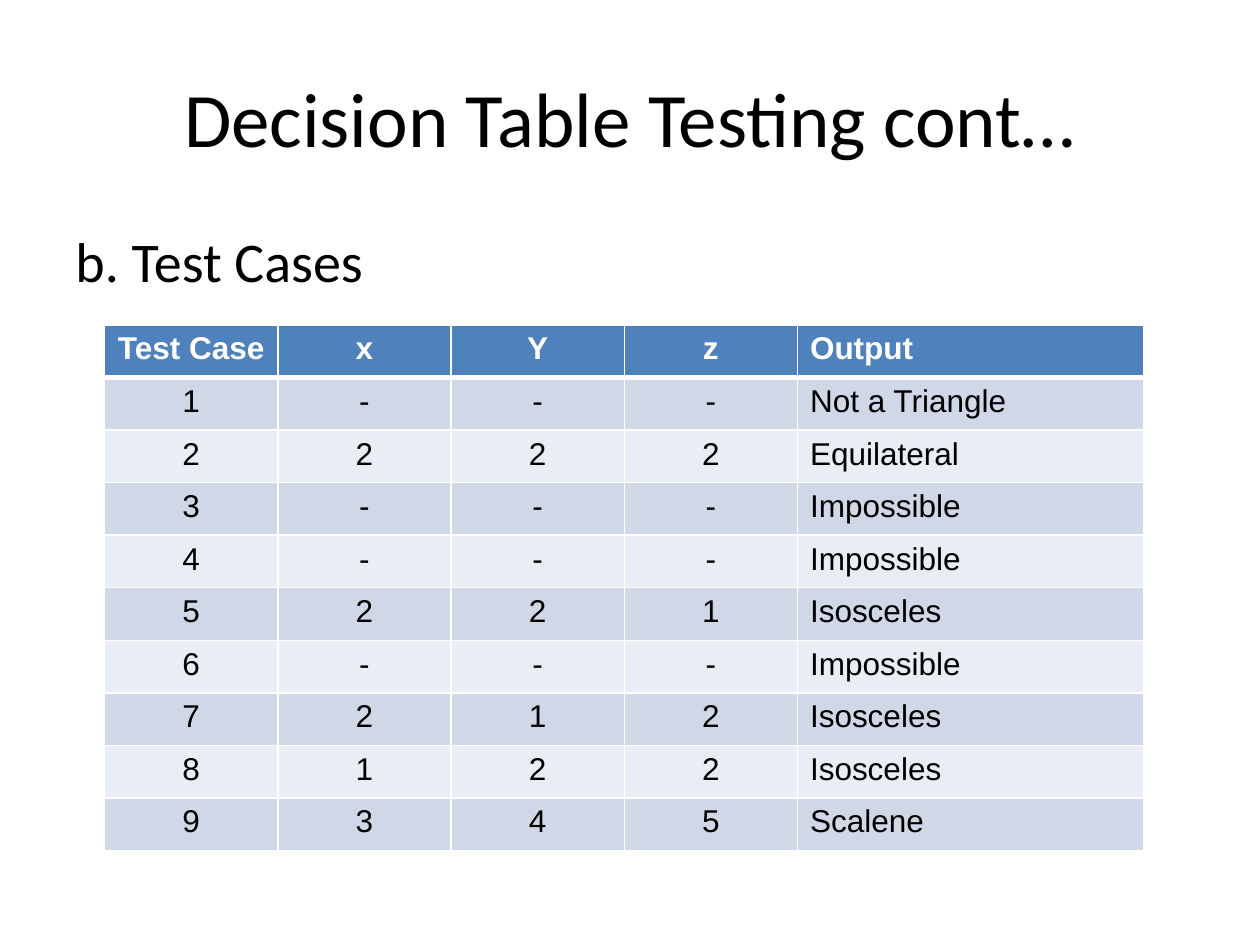
from lxml.etree import SubElement
from pptx import Presentation
from pptx.dml.color import RGBColor
from pptx.enum.text import MSO_ANCHOR, PP_ALIGN
from pptx.oxml.ns import qn
from pptx.util import Inches, Pt

TITLE = "Decision Table Testing cont…"
SUBTITLE = "b. Test Cases"
HEADER = ("Test Case", "x", "Y", "z", "Output")
CASES = [
    ("1", "-", "-", "-", "Not a Triangle"),
    ("2", "2", "2", "2", "Equilateral"),
    ("3", "-", "-", "-", "Impossible"),
    ("4", "-", "-", "-", "Impossible"),
    ("5", "2", "2", "1", "Isosceles"),
    ("6", "-", "-", "-", "Impossible"),
    ("7", "2", "1", "2", "Isosceles"),
    ("8", "1", "2", "2", "Isosceles"),
    ("9", "3", "4", "5", "Scalene"),
]
COLORS = {"text": "000000", "white": "FFFFFF", "header": "4F81BD",
          "odd": "D0D8E8", "even": "E9EDF4"}
WIDTH, HEIGHT = 10, 7.5
MARGIN = WIDTH * 0.05
TABLE_LEFT, TABLE_TOP, TABLE_WIDTH, TABLE_HEIGHT = 0.83, 2.58, 8.25, 4.17
COLUMN_SHARES = (1, 1, 1, 1, 2)


def add_span(para, text, size, font, color, bold=False):
    """Add one formatted run to a paragraph."""
    span = para.add_run()
    span.text = text
    span.font.size = Pt(size)
    span.font.name = font
    span.font.bold = bold
    span.font.color.rgb = RGBColor.from_string(COLORS[color])


def add_text(page, text, top, height, size, align, anchor):
    """Add a full-width text box."""
    box = page.shapes.add_textbox(Inches(MARGIN), Inches(top),
                                  Inches(WIDTH - 2 * MARGIN), Inches(height))
    box.text_frame.word_wrap = True
    box.text_frame.vertical_anchor = anchor
    para = box.text_frame.paragraphs[0]
    para.alignment = align
    add_span(para, text, size, "Calibri", "text")


def add_borders(cell, top, bottom):
    """Draw white borders round a cell."""
    properties = cell._tc.get_or_add_tcPr()
    for side, points in (("L", 1), ("R", 1), ("T", top), ("B", bottom)):
        line = SubElement(properties, qn(f"a:ln{side}"), w=str(Pt(points)))
        fill = SubElement(line, qn("a:solidFill"))
        SubElement(fill, qn("a:srgbClr"), val=COLORS["white"])


def add_case_table(page):
    """Add the table of test cases."""
    rows = [HEADER, *CASES]
    table = page.shapes.add_table(
        len(rows), len(HEADER), Inches(TABLE_LEFT), Inches(TABLE_TOP),
        Inches(TABLE_WIDTH), Inches(TABLE_HEIGHT)).table
    for column, share in zip(table.columns, COLUMN_SHARES):
        column.width = Inches(TABLE_WIDTH * share / sum(COLUMN_SHARES))
    for r, row in enumerate(rows):
        is_header = r == 0
        shade = "header" if is_header else "odd" if r % 2 else "even"
        for c, text in enumerate(row):
            cell = table.cell(r, c)
            add_borders(cell, 3 if r == 1 else 1, 3 if is_header else 1)
            cell.fill.solid()
            cell.fill.fore_color.rgb = RGBColor.from_string(COLORS[shade])
            para = cell.text_frame.paragraphs[0]
            is_output = c == len(HEADER) - 1
            para.alignment = PP_ALIGN.LEFT if is_output else PP_ALIGN.CENTER
            add_span(para, text, 18, "Arial", "white" if is_header else "text", is_header)


def main():
    """Build the slide and save it."""
    deck = Presentation()
    deck.slide_width, deck.slide_height = Inches(WIDTH), Inches(HEIGHT)
    page = deck.slides.add_slide(deck.slide_layouts[6])
    add_text(page, TITLE, 0.3, 1.25, 44, PP_ALIGN.CENTER, MSO_ANCHOR.MIDDLE)
    add_text(page, SUBTITLE, 1.75, 4.95, 32, PP_ALIGN.LEFT, MSO_ANCHOR.TOP)
    add_case_table(page)
    deck.save("out.pptx")


if __name__ == "__main__":
    main()
